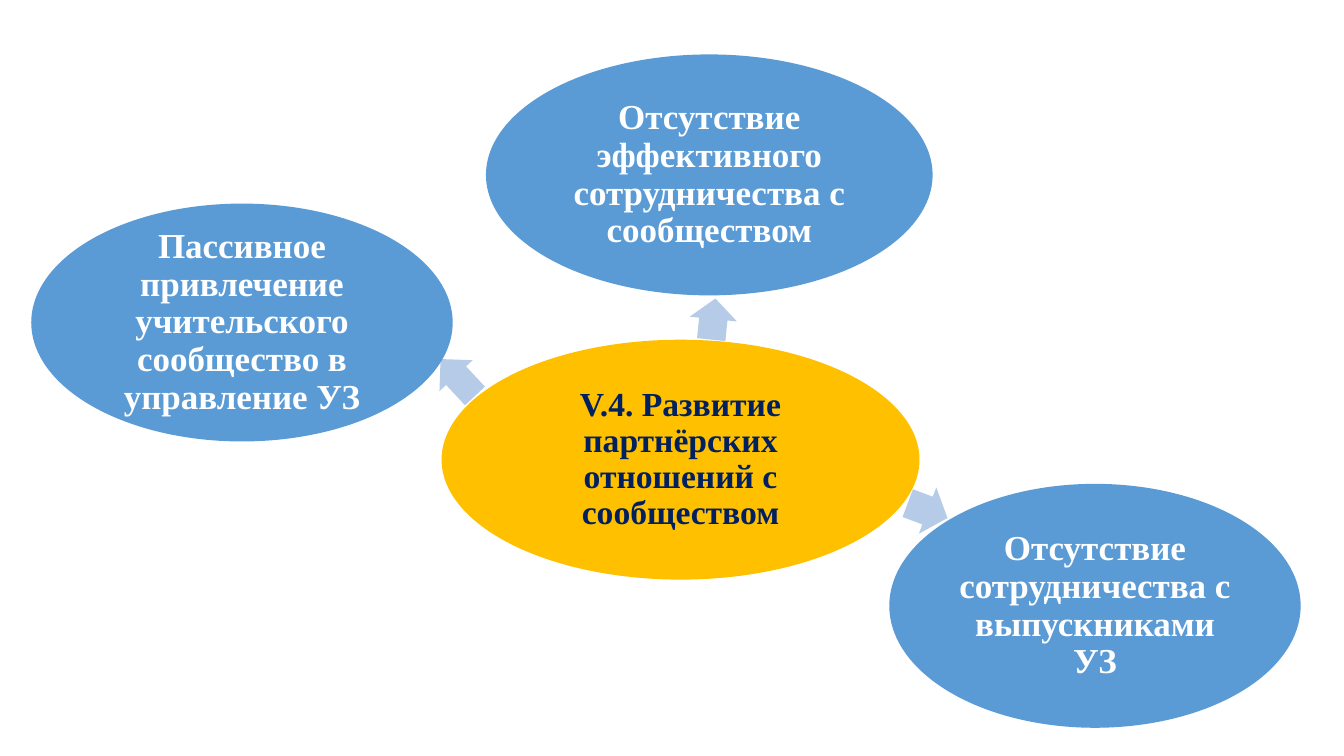
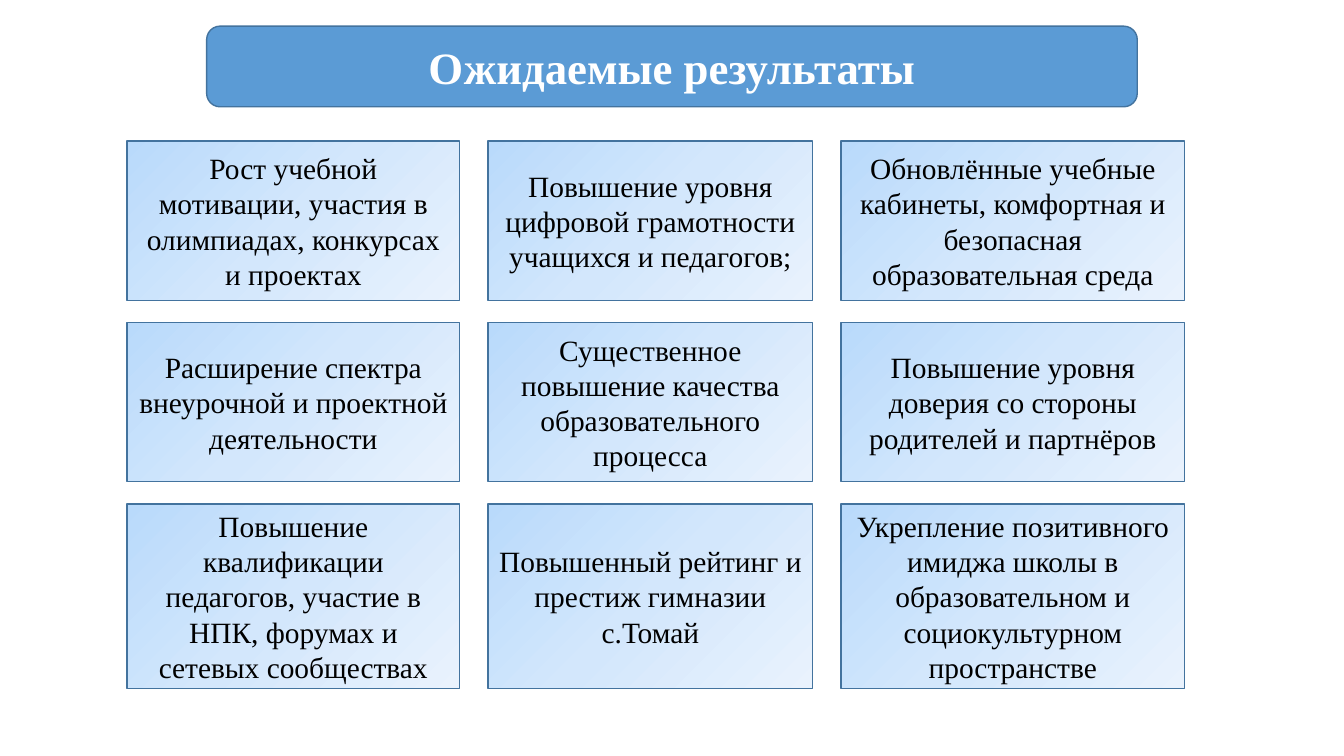
from copy import deepcopy

from pptx import Presentation
from pptx.dml.color import RGBColor
from pptx.enum.shapes import MSO_SHAPE
from pptx.enum.text import MSO_ANCHOR, PP_ALIGN
from pptx.oxml.ns import qn
from pptx.util import Pt

EMU_PER_PX = 9144  # 100 px to the inch
SLIDE_BOX = (0, 0, 1333, 750)

FONT = "Times New Roman"
WHITE = RGBColor(0xFF, 0xFF, 0xFF)
BLACK = RGBColor(0x00, 0x00, 0x00)
NAVY = RGBColor(0x00, 0x20, 0x60)
BLUE = RGBColor(0x5B, 0x9B, 0xD5)
DARK_BLUE = RGBColor(0x43, 0x73, 0x9E)
PALE_BLUE = RGBColor(0xB5, 0xCB, 0xE7)
AMBER = RGBColor(0xFF, 0xC0, 0x00)
CARD_GRADIENT = (
    (0, RGBColor(0xB9, 0xDA, 0xFB)),
    (0.5, RGBColor(0xD3, 0xE7, 0xFC)),
    (1, RGBColor(0xE9, 0xF2, 0xFD)),
)

ELLIPSE = MSO_SHAPE.OVAL
ARROW = MSO_SHAPE.RIGHT_ARROW
RECT = MSO_SHAPE.RECTANGLE
ROUND_RECT = MSO_SHAPE.ROUNDED_RECTANGLE
CENTER = PP_ALIGN.CENTER
MIDDLE = MSO_ANCHOR.MIDDLE

# Text, box and arrow (box, rotation) of each problem around the goal
GOAL = ("V.4. Развитие партнёрских отношений с сообществом", (438, 337, 474, 238))
PROBLEMS = (
    ("Отсутствие эффективного сотрудничества с сообществом",
     (482, 54, 443, 239), (687, 293, 41, 47), 275.8),
    ("Отсутствие сотрудничества с выпускниками УЗ",
     (882, 480, 408, 242), (899, 482, 42, 49), 20.6),
    ("Пассивное привлечение учительского сообщество в управление УЗ",
     (31, 202, 418, 236), (429, 352, 50, 45), 227),
)

RESULTS_TITLE = "Ожидаемые результаты"
RESULTS = (
    ("Рост учебной мотивации, участия в олимпиадах, конкурсах и проектах",
     "Повышение уровня цифровой грамотности учащихся и педагогов;",
     "Обновлённые учебные кабинеты, комфортная и безопасная образовательная среда"),
    ("Расширение спектра внеурочной и проектной деятельности",
     "Существенное повышение качества образовательного процесса",
     "Повышение уровня доверия со стороны родителей и партнёров"),
    ("Повышение квалификации педагогов, участие в НПК, форумах и сетевых сообществах",
     "Повышенный рейтинг и престиж гимназии с.Томай",
     "Укрепление позитивного имиджа школы в образовательном и социокультурном пространстве"),
)
COLUMN_WIDTHS = (330, 322, 341)
ROW_HEIGHTS = (158, 158, 183)
COLUMN_GAP, ROW_GAP = 28, 22


def px(length):
    return int(length * EMU_PER_PX)


def add_shape(slide, kind, box, fill=None, line=None):
    shape = slide.shapes.add_shape(kind, *map(px, box))
    shape.shadow.inherit = False
    if fill is not None:
        shape.fill.solid()
        shape.fill.fore_color.rgb = fill
    if line is None:
        shape.line.fill.background()
    else:
        shape.line.color.rgb = line
        shape.line.width = Pt(1)
    return shape


def set_text(shape, text, size, color, bold=False, spacing=None, inset=None):
    frame = shape.text_frame
    frame.word_wrap = True
    frame.vertical_anchor = MIDDLE
    if inset is not None:
        frame.margin_left = frame.margin_right = px(inset)
        frame.margin_top = frame.margin_bottom = px(inset)
    paragraph = frame.paragraphs[0]
    paragraph.alignment = CENTER
    if spacing is not None:
        paragraph.line_spacing = spacing
    run = paragraph.add_run()
    run.text = text
    run.font.name = FONT
    run.font.size = Pt(size)
    run.font.bold = bold
    run.font.color.rgb = color


def fill_gradient(shape, stops):
    shape.fill.gradient()
    shape.fill.gradient_angle = 315
    # A new gradient has two stops: add the middle one
    stop_list = shape._element.spPr.find(qn("a:gradFill")).find(qn("a:gsLst"))
    stop_list.insert(1, deepcopy(stop_list[0]))
    for stop, (position, color) in zip(shape.fill.gradient_stops, stops):
        stop.position = position
        stop.color.rgb = color


def add_bubble(slide, box, text, fill, size, color):
    bubble = add_shape(slide, ELLIPSE, box, fill)
    set_text(bubble, text, size, color, bold=True, spacing=0.9, inset=3)


def add_arrow(slide, box, rotation):
    arrow = add_shape(slide, ARROW, box, PALE_BLUE)
    arrow.adjustments[0] = 0.6
    arrow.adjustments[1] = 0.5
    arrow.rotation = rotation


def add_problem_map(slide, box):
    left, top = box[:2]

    def placed(part):
        x, y, width, height = part
        return left + x, top + y, width, height

    # Goal in the centre, then each arrow with its problem
    goal_text, goal_box = GOAL
    add_bubble(slide, placed(goal_box), goal_text, AMBER, 24, NAVY)
    for text, bubble_box, arrow_box, rotation in PROBLEMS:
        add_arrow(slide, placed(arrow_box), rotation)
        add_bubble(slide, placed(bubble_box), text, BLUE, 25, WHITE)


def add_title_band(slide, box, text):
    band = add_shape(slide, ROUND_RECT, box, BLUE, DARK_BLUE)
    set_text(band, text, 32, WHITE, bold=True)


def add_result_grid(slide, left, top):
    y = top
    for row, height in zip(RESULTS, ROW_HEIGHTS):
        x = left
        for text, width in zip(row, COLUMN_WIDTHS):
            card = add_shape(slide, RECT, (x, y, width, height), line=DARK_BLUE)
            fill_gradient(card, CARD_GRADIENT)
            set_text(card, text, 21, BLACK)
            x += width + COLUMN_GAP
        y += height + ROW_GAP


def main():
    deck = Presentation()
    deck.slide_width, deck.slide_height = map(px, SLIDE_BOX[2:])
    blank = deck.slide_layouts[6]

    # Problems around the goal
    add_problem_map(deck.slides.add_slide(blank), SLIDE_BOX)

    # Expected results
    results = deck.slides.add_slide(blank)
    add_title_band(results, (205, 26, 923, 80), RESULTS_TITLE)
    add_result_grid(results, 126, 140)

    deck.save("out.pptx")


if __name__ == "__main__":
    main()
